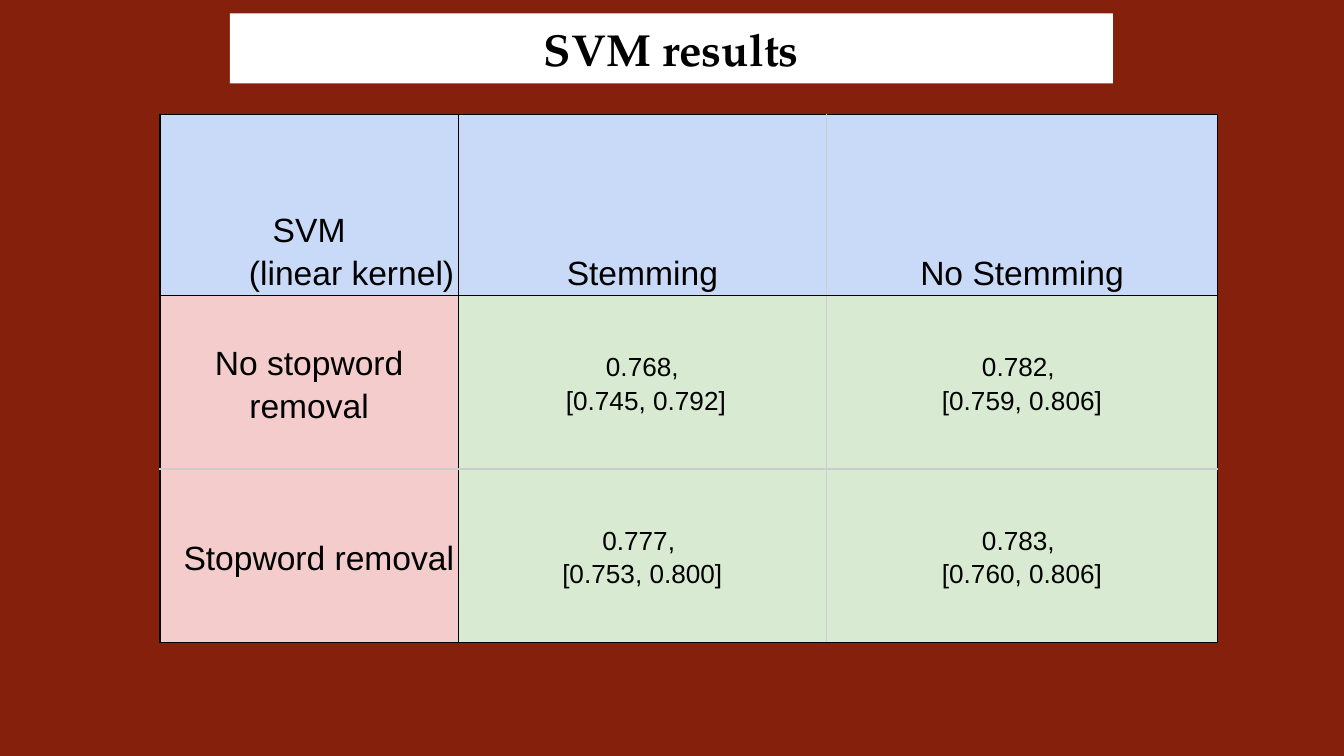
from lxml.etree import SubElement
from pptx import Presentation
from pptx.dml.color import RGBColor
from pptx.enum.text import MSO_ANCHOR as Anchor, PP_ALIGN as Align
from pptx.oxml.ns import qn
from pptx.util import Inches, Pt

BLACK, GRAY, WHITE = "000000", "CCCCCC", "FFFFFF"
BACKGROUND, HEADER, LABEL, RESULT = "85200C", "C9DAF8", "F4CCCC", "D9EAD3"

SLIDE_WIDTH = 10
SLIDE_HEIGHT = SLIDE_WIDTH * 9 / 16
COLUMN_WIDTHS = [2.22, 2.74, 2.91]
ROW_HEIGHTS = [1.35, 1.29, 1.29]
ROW_LINES = COLUMN_LINES = [BLACK, BLACK, GRAY, BLACK]

# Each cell lists its paragraphs as (text, alignment)
RESULTS = [
    [[("SVM", Align.CENTER), (" (linear kernel)", Align.RIGHT)],
     [("Stemming", Align.CENTER)],
     [("No Stemming", Align.CENTER)]],
    [[("No stopword removal", Align.CENTER)],
     [("0.768,", Align.CENTER), (" [0.745, 0.792]", Align.CENTER)],
     [("0.782, ", Align.CENTER), ("[0.759, 0.806]", Align.CENTER)]],
    [[("Stopword removal", Align.RIGHT)],
     [("0.777, ", Align.CENTER), ("[0.753, 0.800]", Align.CENTER)],
     [("0.783, ", Align.CENTER), ("[0.760, 0.806]", Align.CENTER)]],
]


def color(value):
    return RGBColor.from_string(value)


def set_attributes(target, values):
    for name, value in values.items():
        setattr(target, name, value)


def fill_solid(fill, value):
    fill.solid()
    fill.fore_color.rgb = color(value)


def format_font(font, name, size, bold=False):
    set_attributes(font, {"name": name, "size": Pt(size), "bold": bold})
    font.color.rgb = color(BLACK)


def add_title(slide, text):
    title = slide.shapes.title
    set_attributes(title, {"left": Inches(1.71), "top": Inches(0.1),
                           "width": Inches(6.57), "height": Inches(0.52)})
    fill_solid(title.fill, WHITE)
    frame = title.text_frame
    margin = Inches(0.1)
    set_attributes(frame, {"text": text, "word_wrap": True,
                           "vertical_anchor": Anchor.MIDDLE,
                           "margin_left": margin, "margin_right": margin,
                           "margin_top": margin, "margin_bottom": margin})
    paragraph = frame.paragraphs[0]
    paragraph.alignment = Align.CENTER
    format_font(paragraph.font, "TeX Gyre Pagella", 24, bold=True)


def set_borders(cell, row, column):
    """Draw the four edges; call before the fill, which must follow them."""
    properties = cell._tc.get_or_add_tcPr()
    edges = {"a:lnL": COLUMN_LINES[column], "a:lnR": COLUMN_LINES[column + 1],
             "a:lnT": ROW_LINES[row], "a:lnB": ROW_LINES[row + 1]}
    for tag, value in edges.items():
        line = SubElement(properties, qn(tag), w=str(Pt(0.75)))
        solid = SubElement(line, qn("a:solidFill"))
        SubElement(solid, qn("a:srgbClr"), val=value)


def write_cell(cell, lines, size):
    frame = cell.text_frame
    for index, (text, alignment) in enumerate(lines):
        paragraph = frame.add_paragraph() if index else frame.paragraphs[0]
        set_attributes(paragraph, {"text": text, "alignment": alignment,
                                   "line_spacing": 1.15})
        format_font(paragraph.font, "Arial", size)


def add_results_table(slide):
    table = slide.shapes.add_table(
        len(ROW_HEIGHTS), len(COLUMN_WIDTHS), Inches(1.19), Inches(0.85),
        Inches(sum(COLUMN_WIDTHS)), Inches(sum(ROW_HEIGHTS))).table
    set_attributes(table, {"first_row": False, "horz_banding": False})
    for column, width in zip(table.columns, COLUMN_WIDTHS):
        column.width = Inches(width)
    for row, height in zip(table.rows, ROW_HEIGHTS):
        row.height = Inches(height)

    for row, cells in enumerate(RESULTS):
        for column, lines in enumerate(cells):
            cell = table.cell(row, column)
            is_result = row > 0 and column > 0
            set_attributes(cell, {
                "vertical_anchor": Anchor.MIDDLE if row else Anchor.BOTTOM,
                "margin_left": Inches(0.03), "margin_right": Inches(0.03),
                "margin_top": Inches(0.02), "margin_bottom": Inches(0.02)})
            set_borders(cell, row, column)
            fill_solid(cell.fill, HEADER if row == 0 else RESULT if is_result else LABEL)
            write_cell(cell, lines, 14 if is_result else 18)


def main():
    presentation = Presentation()
    set_attributes(presentation, {"slide_width": Inches(SLIDE_WIDTH),
                                  "slide_height": Inches(SLIDE_HEIGHT)})
    title_only = presentation.slide_layouts[5]
    slide = presentation.slides.add_slide(title_only)
    fill_solid(slide.background.fill, BACKGROUND)
    add_title(slide, "SVM results")
    add_results_table(slide)
    presentation.save("out.pptx")


if __name__ == "__main__":
    main()
